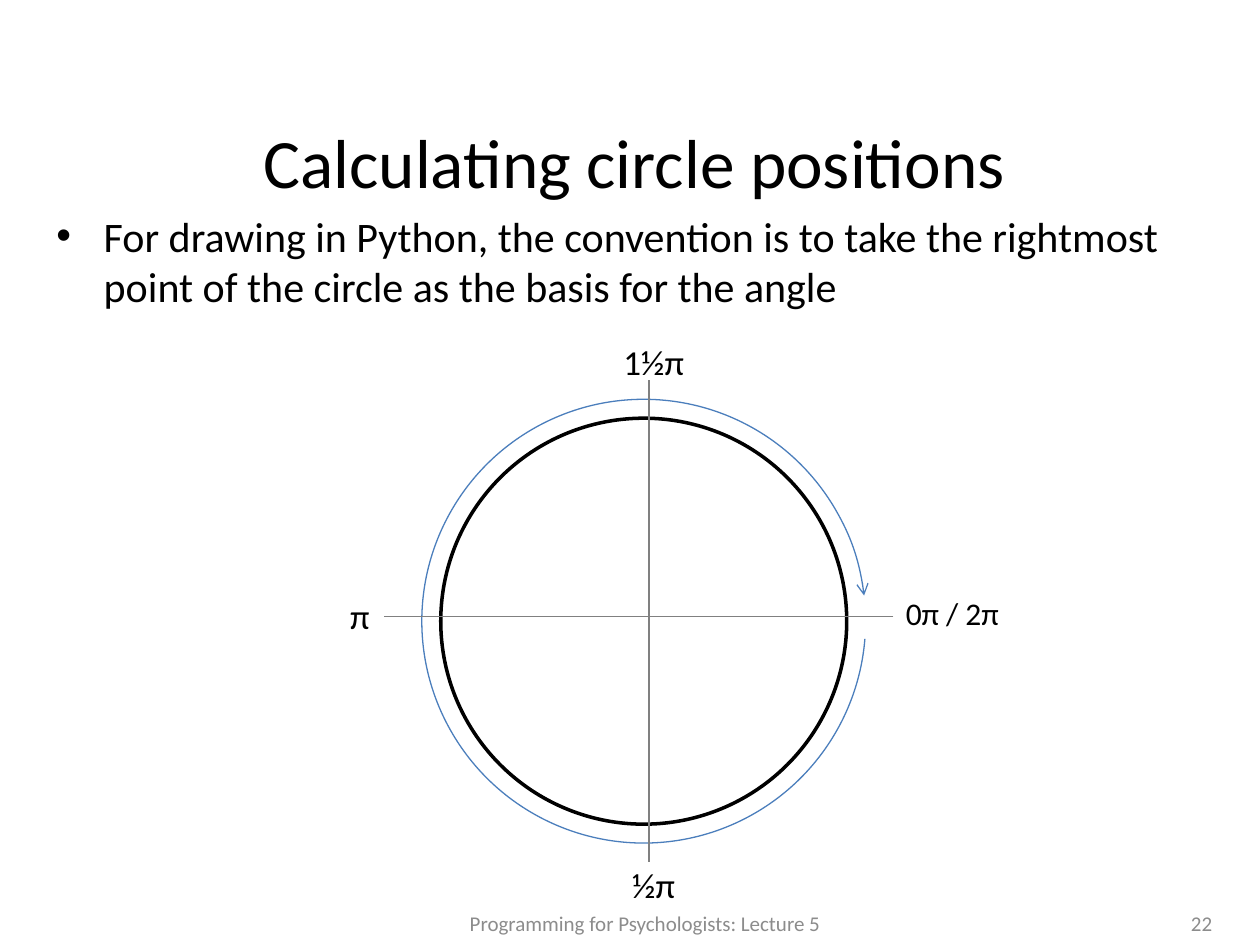
"""Slide on measuring angles around a circle, clockwise from its rightmost point."""

from dataclasses import dataclass

from lxml.etree import SubElement
from pptx import Presentation
from pptx.dml.color import RGBColor
from pptx.enum.shapes import MSO_CONNECTOR as Connector, MSO_SHAPE as Preset
from pptx.enum.text import MSO_ANCHOR as Anchor, MSO_AUTO_SIZE as AutoSize, PP_ALIGN as Align
from pptx.oxml.ns import qn
from pptx.shapes.autoshape import Shape
from pptx.shapes.shapetree import GroupShapes, SlideShapes
from pptx.util import Pt


@dataclass(frozen=True)
class Theme:
    font: str = "Calibri"
    ink: RGBColor = RGBColor(0, 0, 0)
    paper: RGBColor = RGBColor(255, 255, 255)
    muted: RGBColor = RGBColor(0x8C, 0x8C, 0x8C)
    axis: RGBColor = RGBColor(0x80, 0x80, 0x80)
    sweep: RGBColor = RGBColor(0x4B, 0x7E, 0xBC)
    title_size: float = 39.6
    body_size: float = 24
    label_size: float = 20
    start_size: float = 18
    footer_size: float = 12
    outline: float = 2
    hairline: float = 0.75


THEME = Theme()


@dataclass(frozen=True)
class Caption:
    text: str
    left: float
    top: float
    width: float
    height: float
    size: float
    color: RGBColor = THEME.ink
    align: Align = Align.LEFT
    anchor: Anchor = Anchor.TOP
    fit: AutoSize = AutoSize.NONE


@dataclass(frozen=True)
class Axis:
    begin: tuple[float, float]
    end: tuple[float, float]


@dataclass(frozen=True)
class Ring:
    preset: Preset
    radius: float
    color: RGBColor
    weight: float


MARGIN, CONTENT_WIDTH = 25.2, 674.6
CENTER_X, CENTER_Y = 367.9, 355
AXIS_X, AXIS_Y = 370.8, 352.1
FOOTER = {"top": 519.1, "height": 17.3, "size": THEME.footer_size,
          "color": THEME.muted, "anchor": Anchor.MIDDLE}
LABEL = {"size": THEME.label_size, "fit": AutoSize.SHAPE_TO_FIT_TEXT}

TITLE = Caption("Calculating circle positions", MARGIN, 66.2, CONTENT_WIDTH, 51.1,
                THEME.title_size, align=Align.CENTER, anchor=Anchor.MIDDLE)
CONVENTION = Caption(
    "For drawing in Python, the convention is to take the rightmost "
    "point of the circle as the basis for the angle",
    MARGIN, 116.6, CONTENT_WIDTH, 396.7, THEME.body_size)
FOOTERS = (
    Caption("Programming for Psychologists: Lecture 5", left=133.2, width=470.9,
            align=Align.CENTER, **FOOTER),
    Caption("22", left=609.1, width=90.7, align=Align.RIGHT, **FOOTER),
)
ANGLES = (
    Caption("0π / 2π", 510.5, 336.2, 70.6, 28.8, **{**LABEL, "size": THEME.start_size}),
    Caption("1½π", 349.2, 190.8, 61.9, 31.5, **LABEL),
    Caption("½π", 354.2, 489.6, 48.2, 31.5, **LABEL),
    Caption("π", 193, 336.2, 21.6, 31.5, **LABEL),
)
AXES = (
    Axis((510.5, AXIS_Y), (219.6, AXIS_Y)),
    Axis((AXIS_X, 492.5), (AXIS_X, 217.4)),
)
CIRCLE = Ring(Preset.OVAL, 116, THEME.ink, THEME.outline)
SWEEP = Ring(Preset.ARC, 126.8, THEME.sweep, THEME.hairline)
SWEEP_ANGLES = (2.75, 212.02)


def apply_format(target: object, values: dict[str, object]) -> None:
    """Set each named attribute on the target."""
    for name, value in values.items():
        setattr(target, name, value)


def add_caption(shapes: SlideShapes | GroupShapes, caption: Caption) -> Shape:
    """Add one paragraph of text in its own box."""
    box = shapes.add_textbox(Pt(caption.left), Pt(caption.top),
                             Pt(caption.width), Pt(caption.height))
    apply_format(box.text_frame, {"word_wrap": True, "auto_size": caption.fit,
                                  "vertical_anchor": caption.anchor})
    paragraph = box.text_frame.paragraphs[0]
    paragraph.alignment = caption.align
    run = paragraph.add_run()
    run.text = caption.text
    apply_format(run.font, {"name": THEME.font, "size": Pt(caption.size)})
    run.font.color.rgb = caption.color
    return box


def add_bullet(box: Shape, indent: float, space_before: float) -> None:
    """Give the first paragraph a hanging bullet."""
    paragraph = box.text_frame.paragraphs[0]
    paragraph.space_before = Pt(space_before)
    properties = paragraph._p.get_or_add_pPr()
    properties.set("marL", str(Pt(indent)))
    properties.set("indent", str(-Pt(indent)))
    SubElement(properties, qn("a:buFont"), typeface="Arial")
    SubElement(properties, qn("a:buChar"), char="•")


def add_ring(shapes: GroupShapes, ring: Ring) -> Shape:
    """Add a circle or arc around the shared centre."""
    shape = shapes.add_shape(ring.preset, Pt(CENTER_X - ring.radius), Pt(CENTER_Y - ring.radius),
                             Pt(2 * ring.radius), Pt(2 * ring.radius))
    shape.shadow.inherit = False
    shape.line.color.rgb = ring.color
    shape.line.width = Pt(ring.weight)
    return shape


def add_axis(shapes: GroupShapes, axis: Axis) -> None:
    """Add one thin axis line."""
    line = shapes.add_connector(Connector.STRAIGHT, *map(Pt, axis.begin + axis.end))
    line.line.color.rgb = THEME.axis
    line.line.width = Pt(THEME.hairline)
    SubElement(line._element.spPr, qn("a:effectLst"))


def add_diagram(shapes: GroupShapes) -> None:
    """Draw the circle, its clockwise sweep, the axes and the angle labels."""
    circle = add_ring(shapes, CIRCLE)
    circle.fill.solid()
    circle.fill.fore_color.rgb = THEME.paper
    sweep = add_ring(shapes, SWEEP)
    sweep.fill.background()
    for index, angle in enumerate(SWEEP_ANGLES):
        sweep.adjustments[index] = angle
    SubElement(sweep.line._get_or_add_ln(), qn("a:tailEnd"), type="arrow")
    for axis in AXES:
        add_axis(shapes, axis)
    for angle_label in ANGLES:
        add_caption(shapes, angle_label)


def main() -> None:
    """Build and save the slide."""
    deck = Presentation()
    apply_format(deck, {"slide_width": Pt(720), "slide_height": Pt(540)})
    slide = deck.slides.add_slide(deck.slide_layouts[6])
    add_caption(slide.shapes, TITLE)
    add_bullet(add_caption(slide.shapes, CONVENTION), indent=27, space_before=4.8)
    for footer in FOOTERS:
        add_caption(slide.shapes, footer)
    add_diagram(slide.shapes.add_group_shape().shapes)
    deck.save("out.pptx")


if __name__ == "__main__":
    main()
